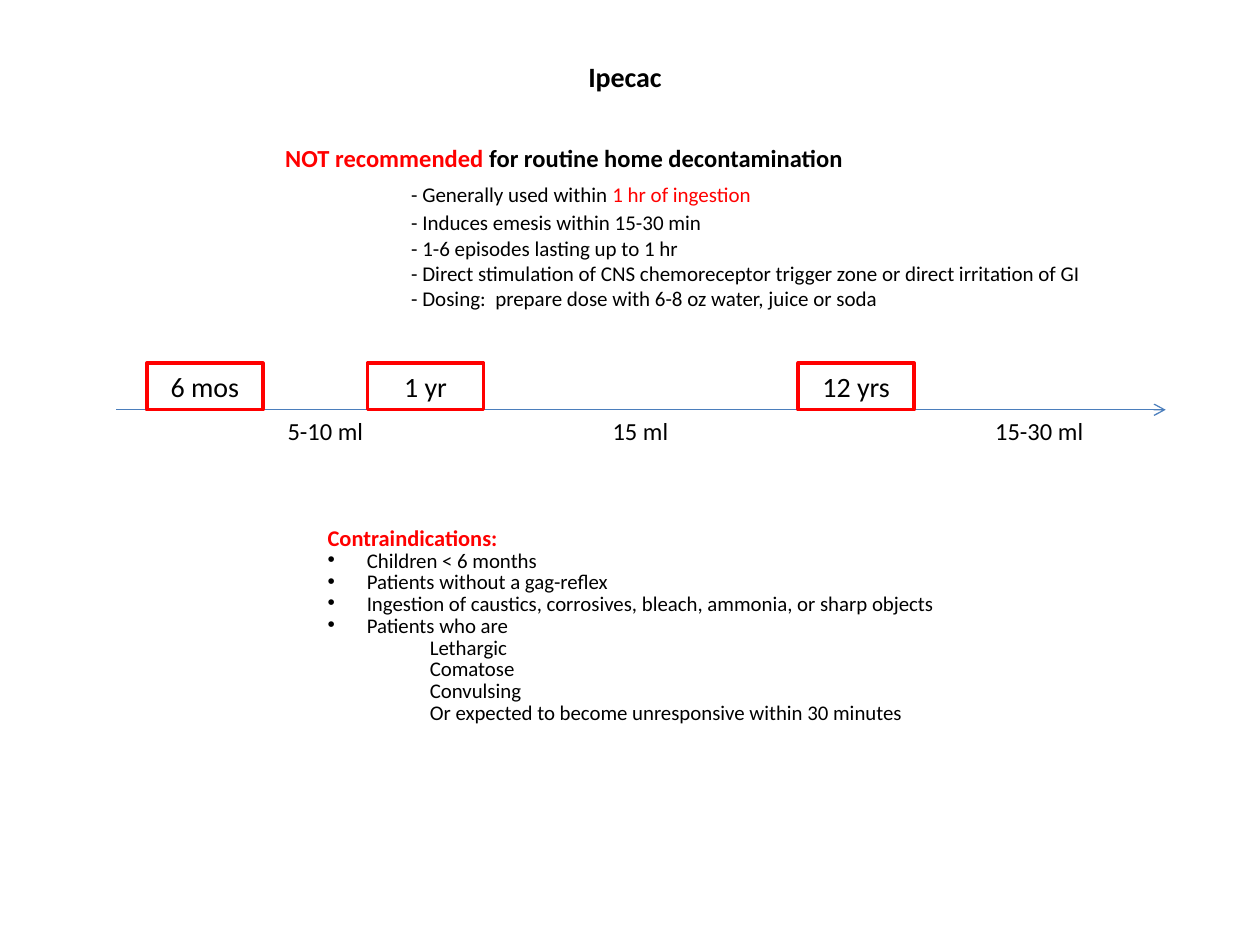
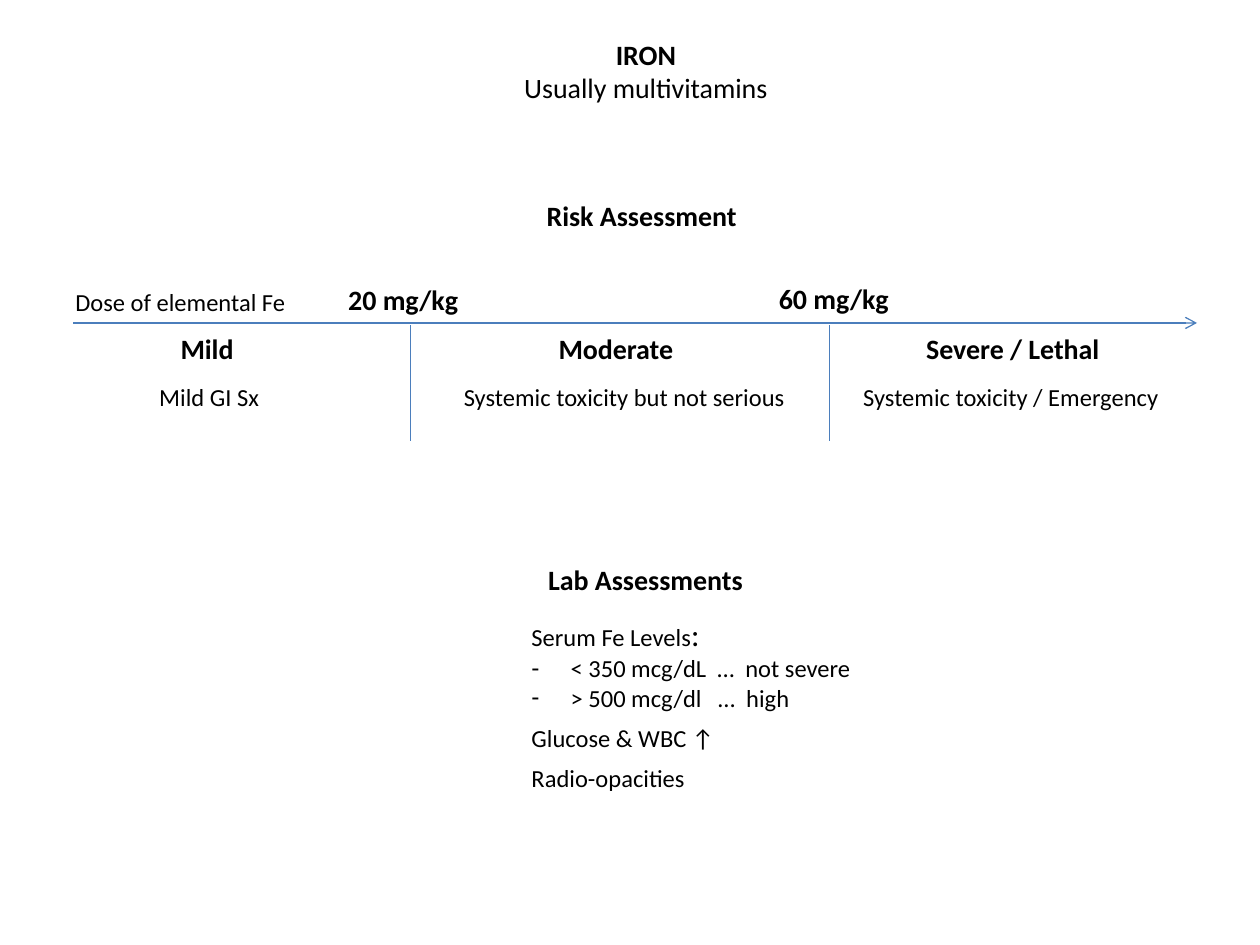
from dataclasses import dataclass

from lxml.etree import SubElement
from pptx import Presentation
from pptx.dml.color import RGBColor
from pptx.enum.shapes import MSO_CONNECTOR as Connector, MSO_SHAPE as Shape
from pptx.enum.text import MSO_ANCHOR as Anchor, MSO_AUTO_SIZE as AutoSize, PP_ALIGN as Align
from pptx.oxml.ns import qn
from pptx.util import Cm, Pt


@dataclass(frozen=True)
class Theme:
    font: str = "Calibri"
    ink: RGBColor = RGBColor(0, 0, 0)
    alert: RGBColor = RGBColor(0xFF, 0, 0)
    axis: RGBColor = RGBColor(0x4B, 0x7E, 0xBC)
    heading: float = 16
    text: float = 14
    detail: float = 12
    list_heading: float = 12.8
    list_item: float = 11.9
    colon: float = 18


theme = Theme()


def write(box, text, size=theme.text, bold=False, color=theme.ink, align=Align.LEFT,
          bullet=None, margin=0, indent=0, level=0, before=0, after=0, spacing=1.0):
    """Add one paragraph; text is a string or a list of (text, format) spans."""
    frame = box.text_frame
    frame.word_wrap, frame.auto_size = True, AutoSize.NONE
    para = frame.add_paragraph() if frame.text else frame.paragraphs[0]
    para.alignment, para.level = align, level
    properties = para._p.get_or_add_pPr()
    properties.set("marL", str(Cm(margin)))
    properties.set("indent", str(Cm(indent)))
    if bullet:
        SubElement(properties, qn("a:buChar")).set("char", bullet)
    else:
        SubElement(properties, qn("a:buNone"))
    para.space_before, para.space_after, para.line_spacing = Pt(before), Pt(after), spacing
    for words, changes in [(text, {})] if isinstance(text, str) else text:
        span = para.add_run()
        span.text = words
        span.font.name = theme.font
        span.font.size = Pt(changes.get("size", size))
        span.font.bold = bold
        span.font.color.rgb = changes.get("color", color)


def draw_line(page, left, top, right, bottom, arrow=False):
    line = page.shapes.add_connector(Connector.STRAIGHT, Cm(left), Cm(top), Cm(right), Cm(bottom))
    line.line.color.rgb = theme.axis
    line.line.width = Pt(0.75)
    if arrow:
        SubElement(line.line._get_or_add_ln(), qn("a:tailEnd")).set("type", "arrow")
    SubElement(line._element.spPr, qn("a:effectLst"))


deck = Presentation()
deck.slide_width, deck.slide_height = Cm(25.4), Cm(19.05)

# Both pages: title and list placeholders as left, top, width, height
places = [
    ((11.43, 1.07, 2.34, 0.94), (6.35, 10.58, 13.34, 4.65)),
    ((8.68, 0.64, 8.68, 1.57), (10.46, 12.28, 7.32, 3.84)),
]
for page_places in places:
    page = deck.slides.add_slide(deck.slide_layouts[1])
    for holder, place in zip(page.placeholders, page_places):
        holder.left, holder.top, holder.width, holder.height = map(Cm, place)
        holder.text_frame.vertical_anchor = Anchor.TOP
    page.shapes.title.text_frame.vertical_anchor = Anchor.MIDDLE
ipecac, iron = deck.slides

# Ipecac: title and recommendation
write(ipecac.shapes.title, "Ipecac", size=theme.heading, bold=True, align=Align.CENTER)
advice = ipecac.shapes.add_textbox(Cm(5.5), Cm(2.75), Cm(16.7), Cm(3.68))
write(advice, [("NOT recommended ", {"color": theme.alert}),
               ("for routine home decontamination", {})], bold=True)
write(advice, [("- Generally used within ", {}), ("1 hr of ingestion", {"color": theme.alert})],
      size=theme.detail, margin=2.54, before=5.7, after=1.6)
for fact in ("- Induces emesis within 15-30 min",
             "- 1-6 episodes lasting up to 1 hr",
             "- Direct stimulation of CNS chemoreceptor trigger zone or direct irritation of GI",
             "- Dosing:  prepare dose with 6-8 oz water, juice or soda"):
    write(advice, fact, size=theme.detail, margin=2.54)

# Ipecac: age axis with doses
draw_line(ipecac, 2.34, 8.26, 23.5, 8.26, arrow=True)
for age, left in (("6 mos", 2.96), ("1 yr", 7.41), ("12 yrs", 16.09)):
    box = ipecac.shapes.add_shape(Shape.RECTANGLE, Cm(left), Cm(7.32), Cm(2.34), Cm(0.94))
    box.shadow.inherit = False
    box.fill.background()
    box.line.color.rgb = theme.alert
    box.line.width = Pt(2)
    write(box, age, size=theme.heading, align=Align.CENTER)
for dose, left in (("5-10 ml", 5.29), ("15 ml", 11.64), ("15-30 ml", 19.68)):
    box = ipecac.shapes.add_textbox(Cm(left), Cm(8.26), Cm(2.54), Cm(0.86))
    write(box, dose, align=Align.CENTER)

# Ipecac: contraindications
warnings = ipecac.placeholders[1]
tight = {"spacing": 0.7, "before": 2.4}
write(warnings, "Contraindications:", size=theme.list_heading, bold=True,
      color=theme.alert, spacing=0.7)
for item in ("Children < 6 months", "Patients without a gag-reflex",
             "Ingestion of caustics, corrosives, bleach, ammonia, or sharp objects",
             "Patients who are"):
    write(warnings, item, size=theme.list_item, bullet="•", margin=0.79, indent=-0.79, **tight)
for state in ("Lethargic", "Comatose", "Convulsing",
              "Or expected to become unresponsive within 30 minutes"):
    write(warnings, state, size=theme.list_item, level=1, margin=1.27, indent=0.79, **tight)

# Iron: title and dose axis
write(iron.shapes.title, "IRON", size=theme.heading, bold=True, align=Align.CENTER)
write(iron.shapes.title, "Usually multivitamins", size=theme.heading, align=Align.CENTER)
draw_line(iron, 1.48, 6.51, 24.13, 6.51, arrow=True)
for threshold in (8.28, 16.72):
    draw_line(iron, threshold, 6.56, threshold, 8.89)

# Iron: headings and severity names
for label, left, top, width in (("Risk Assessment", 10.77, 3.87, 4.67),
                                ("20 mg/kg", 6.77, 5.58, 3.15),
                                ("60 mg/kg", 15.45, 5.56, 2.97),
                                ("Mild", 3.39, 6.56, 2.34),
                                ("Moderate", 11.01, 6.56, 3.18),
                                ("Severe / Lethal", 18.42, 6.56, 4.45),
                                ("Lab Assessments", 10.8, 11.22, 4.65)):
    box = iron.shapes.add_textbox(Cm(left), Cm(top), Cm(width), Cm(0.94))
    write(box, label, size=theme.heading, bold=True)

# Iron: axis name and effects
for label, left, top, width in (("Dose of elemental Fe", 1.27, 5.66, 5.08),
                                ("Mild GI Sx", 2.96, 7.57, 2.96),
                                ("Systemic toxicity but not serious", 9.1, 7.57, 6.99),
                                ("Systemic toxicity / Emergency", 17.15, 7.57, 6.99)):
    box = iron.shapes.add_textbox(Cm(left), Cm(top), Cm(width), Cm(0.86))
    write(box, label)

# Iron: lab findings
labs = iron.placeholders[1]
write(labs, [("Serum Fe Levels", {}), (":", {"size": theme.colon})])
for level in ("< 350 mcg/dL  …  not severe", "> 500 mcg/dl   …  high"):
    write(labs, level, bullet="-", margin=0.79, indent=-0.79)
for finding in ("Glucose & WBC ↑", "Radio-opacities"):
    write(labs, finding, before=6)

deck.save("out.pptx")
